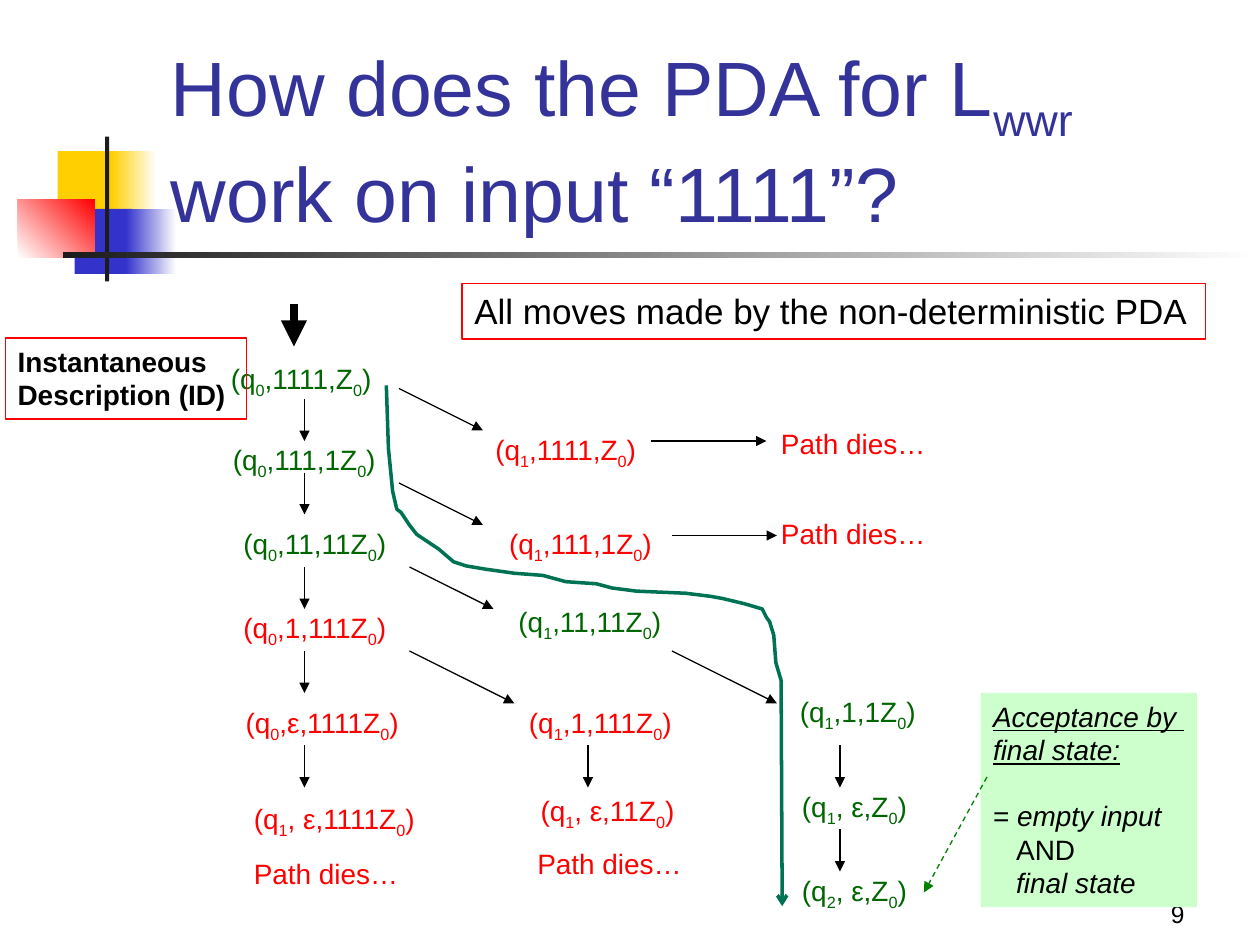
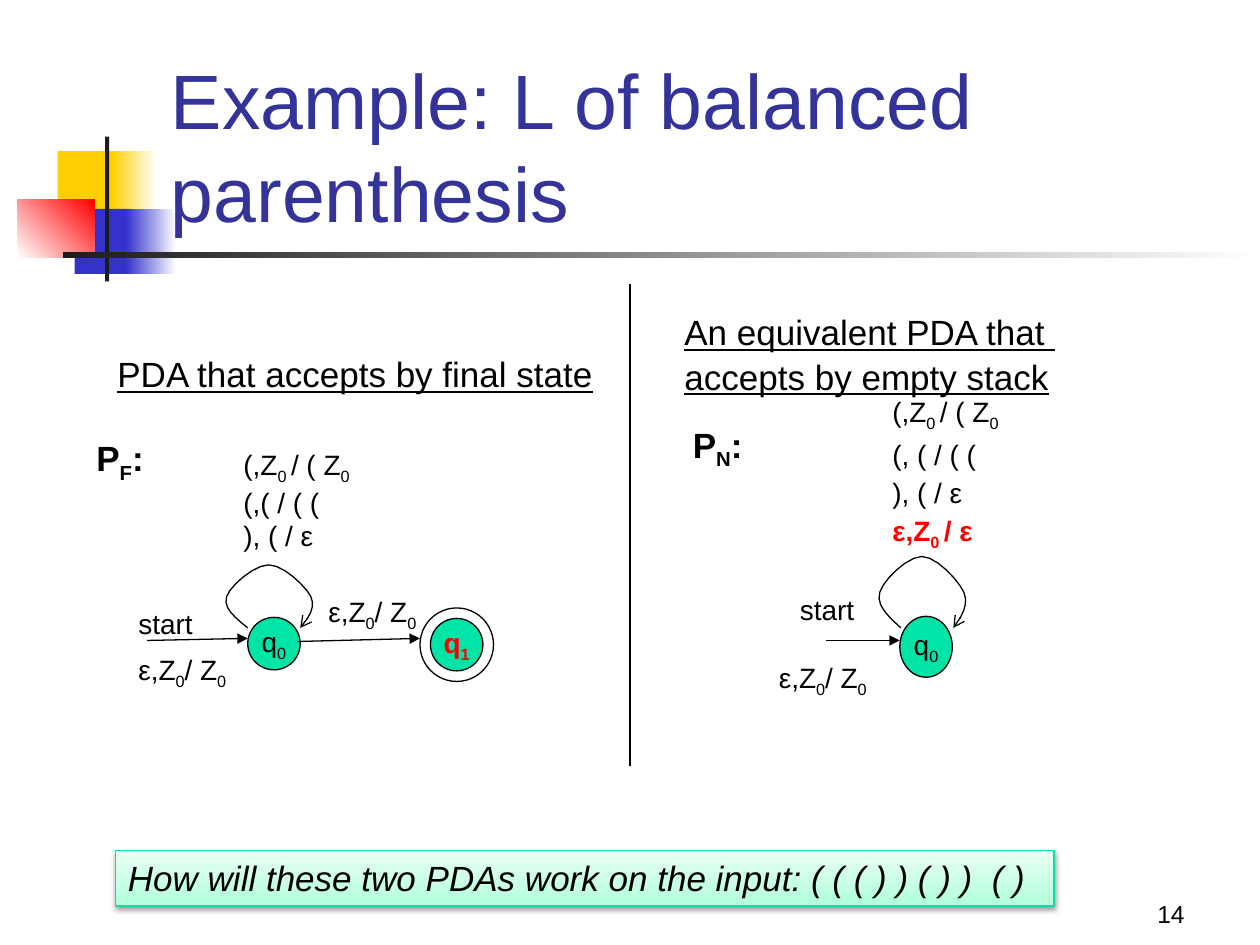
"""Build two lecture slides on pushdown automata, laid out on a 120 by 90 grid."""
from dataclasses import dataclass

from lxml.etree import SubElement
from pptx import Presentation
from pptx.dml.color import RGBColor as RGB
from pptx.enum.dml import MSO_LINE as Dash
from pptx.enum.shapes import MSO_CONNECTOR as Conn, MSO_SHAPE as Shape
from pptx.enum.text import MSO_ANCHOR as Anchor, PP_ALIGN as Align
from pptx.oxml.ns import qn
from pptx.util import Inches, Pt


@dataclass(frozen=True)
class Theme:
    font: str = "Arial"
    title_size: int = 44
    lead_size: int = 20
    body_size: int = 16
    number_size: int = 14
    title: str = "333399"
    black: str = "000000"
    white: str = "FFFFFF"
    ink: str = "1C1C1C"
    yellow: str = "FFCF01"
    blue: str = "3333CC"
    red: str = "FF0000"
    alive: str = "006600"
    trace: str = "007254"
    pointer: str = "008000"
    note: str = "CCFFCC"
    state: str = "00E4A8"
    band_low: str = "B0FFDA"
    band_high: str = "EAFFF4"
    band_edge: str = "00DFA4"


T = Theme()
prs = Presentation()
prs.slide_width, prs.slide_height = Inches(10), Inches(7.5)
U = prs.slide_width // 120


def ink(sp, color=T.black, width=0.75, head=None, dash=None):
    sp.line.color.rgb = RGB.from_string(color)
    sp.line.width = Pt(width)
    if dash:
        sp.line.dash_style = dash
    if head:
        SubElement(sp.line._get_or_add_ln(), qn("a:tailEnd"), type=head)


def box(s, at, paras=(), kind=None, fill=None, edge=None, color=T.black, wrap=True,
        anchor=Anchor.TOP, align=Align.LEFT, gap=0, **fmt):
    at = [int(v * U) for v in at]
    if kind is None:
        sp = s.shapes.add_textbox(*at)
    else:
        sp = s.shapes.add_shape(kind, *at)
        sp.shadow.inherit = False
    if isinstance(fill, tuple):
        sp.fill.gradient()
        sp.fill.gradient_angle = fill[2]
        for stop, tone in zip(sp.fill.gradient_stops, fill):
            stop.color.rgb = RGB.from_string(tone)
    elif fill:
        sp.fill.solid()
        sp.fill.fore_color.rgb = RGB.from_string(fill)
    else:
        sp.fill.background()
    if edge:
        ink(sp, edge)
    else:
        sp.line.fill.background()
    tf = sp.text_frame
    tf.word_wrap, tf.vertical_anchor = wrap, anchor
    for i, para in enumerate(paras):
        p = tf.add_paragraph() if i else tf.paragraphs[0]
        p.alignment, p.space_after = align, Pt(gap)
        for text, extra in ([(para, {})] if isinstance(para, str) else para):
            look = {"name": T.font, "size": T.body_size, "color": color, **fmt, **extra}
            tone, look["size"] = look.pop("color"), Pt(look["size"])
            for n, piece in enumerate(text.split("_")):
                if piece:
                    r = p.add_run()
                    r.text = piece
                    r.font.color.rgb = RGB.from_string(tone)
                    for key, value in look.items():
                        setattr(r.font, key, value)
                    if n % 2:
                        r._r.get_or_add_rPr().set("baseline", "-25000")
    return sp


decor = [
    ((5.5, 14.4, 5.8, 6.2), T.yellow),
    ((10.6, 14.4, 4.3, 6.2), (T.yellow, T.white, 0)),
    ((7.1, 19.9, 5.5, 6.2), T.blue),
    ((12, 19.9, 4.8, 6.2), (T.blue, T.white, 0)),
    ((1.7, 19, 7.3, 5.5), (T.white, T.red, 45)),
    ((10, 13, 0.4, 13.8), T.ink),
    ((6, 24, 114, 0.6), (T.ink, T.white, 0)),
]
slides = []
for title, number in [("How does the PDA for L_wwr_ work on input “1111”?", "9"),
                      ("Example: L of balanced parenthesis", "14")]:
    s = prs.slides.add_slide(prs.slide_layouts[6])
    for at, fill in decor:
        box(s, at, kind=Shape.RECTANGLE, fill=fill)
    box(s, (15.1, 8.2, 102.2, 15), [title], size=T.title_size, color=T.title, anchor=Anchor.BOTTOM)
    box(s, (89, 83, 25, 6), [number], size=T.number_size, anchor=Anchor.BOTTOM, align=Align.RIGHT)
    slides.append(s)
moves, example = slides

descriptions = {
    T.alive: [
        (20.8, 33.8, 16.8, "(q_0_,1111,Z_0_)"),
        (21, 41.6, 16.8, "(q_0_,111,1Z_0_)"),
        (22, 49.6, 16.8, "(q_0_,11,11Z_0_)"),
        (48.2, 57, 17.8, "(q_1_,11,11Z_0_)"),
        (75, 65.6, 18, "(q_1_,1,1Z_0_)"),
        (75.2, 74.6, 13.8, "(q_1_, ε,Z_0_)"),
        (75.2, 82.6, 13.8, "(q_2_, ε,Z_0_)"),
    ],
    T.red: [
        (22, 57.6, 16.8, "(q_0_,1,111Z_0_)"),
        (22.2, 66.6, 19.8, "(q_0_,ε,1111Z_0_)"),
        (23, 75.7, 18.7, "(q_1_, ε,1111Z_0_)"),
        (50.3, 75, 16.8, "(q_1_, ε,11Z_0_)"),
        (49.2, 66.6, 18.7, "(q_1_,1,111Z_0_)"),
        (47.3, 49.6, 16.8, "(q_1_,111,1Z_0_)"),
        (46, 40.6, 16.8, "(q_1_,1111,Z_0_)"),
        (73.2, 40, 16.3, "Path dies…"),
        (73.2, 48.6, 17.8, "Path dies…"),
        (50, 80, 17.8, "Path dies…"),
        (23, 81, 17.8, "Path dies…"),
    ],
}
for color, items in descriptions.items():
    for x, y, w, text in items:
        box(moves, (x, y, w, 4.4), [text], color=color)

accept = box(moves, (93.4, 66, 20.6, 20.4),
             [[("Acceptance by ", {"underline": True})], [("final state:", {"underline": True})],
              [("= ", {"italic": False}), ("empty input", {})],
              [("AND", {"italic": False})], "final state"],
             kind=Shape.RECTANGLE, fill=T.note, italic=True)
accept.text_frame.paragraphs[2].space_before = Pt(18.4)
for p in accept.text_frame.paragraphs[3:]:
    p._p.get_or_add_pPr().set("marL", str(int(2.2 * U)))
box(moves, (44, 27, 70.8, 5.3), ["All moves made by the non-deterministic PDA"],
    kind=Shape.RECTANGLE, edge=T.red, size=T.lead_size)
box(moves, (0.5, 32.2, 23, 7.7), ["Instantaneous Description (ID)"],
    kind=Shape.RECTANGLE, edge=T.red, bold=True)

for x, y, w, h, text in [(12, 57.2, 7.7, 4.4, "start"), (75, 55.8, 7.7, 5.2, "start"),
                         (30.1, 56, 11.9, 4.4, "ε,Z_0_/ Z_0_"), (12, 61.6, 11.9, 4.4, "ε,Z_0_/ Z_0_"),
                         (73, 62.3, 11.9, 5.2, "ε,Z_0_/ Z_0_")]:
    box(example, (x, y, w, h), [text])
for at, paras, fmt in [
    ((10, 33, 48, 5.3), ["PDA that accepts by final state"], {"underline": True}),
    ((64, 29, 37.9, 10.7), ["An equivalent PDA that ", "accepts by empty stack"],
     {"underline": True, "gap": 1.5}),
    ((8, 41, 7.2, 5.3), ["P_F_:"], {"bold": True}),
    ((64.8, 39.7, 7.4, 5.3), ["P_N_:"], {"bold": True}),
]:
    box(example, at, paras, size=T.lead_size, **fmt)
box(example, (22, 42, 13.1, 10.9), ["(,Z_0 _/ ( Z_0_", "(,( / ( (", "), ( / ε"])
box(example, (83.8, 37, 13.1, 16.2),
    ["(,Z_0 _/ ( Z_0_", "(, ( / ( (", "), ( / ε", [("ε,Z_0 _/ ε", {"color": T.red, "bold": True})]],
    gap=2.5)
box(example, (40, 57.9, 7, 7), kind=Shape.OVAL, edge=T.black)
for at, name, color, bold in [((23.6, 58.8, 5, 5), "q_0_", T.black, False),
                              ((41, 58.9, 5, 5), "q_1_", T.red, True),
                              ((85.7, 58.7, 5, 5.8), "q_0_", T.black, False)]:
    box(example, at, [name], kind=Shape.OVAL, fill=T.state, edge=T.black, color=color, bold=bold,
        wrap=False, anchor=Anchor.MIDDLE, align=Align.CENTER)
band = box(example, (11, 81, 89.4, 5.3),
           ["How will these two PDAs work on the input: ( ( ( ) ) ( ) )  ( )"],
           kind=Shape.RECTANGLE, fill=(T.band_low, T.band_high, 90), edge=T.band_edge,
           size=T.lead_size, italic=True)
shadow = SubElement(band._element.spPr.find(qn("a:effectLst")), qn("a:outerShdw"),
                    blurRad=str(Pt(3.1)), dist=str(Pt(1.6)), dir="5400000", rotWithShape="0")
SubElement(SubElement(shadow, qn("a:srgbClr"), val=T.black), qn("a:alpha"), val="38000")

arrow = {"head": "triangle"}
downs = [(29, 38), (29, 45), (29, 54), (29, 62), (29, 71), (56, 71), (80, 71), (80, 79)]
links = [(moves, (x, y, x, y + 4), arrow) for x, y in downs]
links += [(moves, ends, arrow) for ends in [
    (38, 37, 46, 41), (38, 46, 46, 50), (39, 54, 47, 58), (39, 62, 49, 67),
    (64, 62, 74, 67), (62, 42, 73, 42), (64, 51, 74, 51)]]
links += [
    (moves, (94, 74, 88, 85), {"color": T.pointer, "dash": Dash.DASH, **arrow}),
    (moves, (28, 29, 28, 33), {"width": 5, **arrow}),
    (example, (14, 61, 23.6, 60.8), arrow),
    (example, (28.3, 61.1, 40, 60.8), arrow),
    (example, (78.7, 61, 85.7, 61), arrow),
    (example, (60, 27, 60, 73), {}),
]
for s, ends, fmt in links:
    link = s.shapes.add_connector(Conn.STRAIGHT, *[int(v * U) for v in ends])
    ink(link, **fmt)
    SubElement(link._element.spPr, qn("a:effectLst"))

accepting_run = [
    (36.8, 36.7), (37, 42.7), (37.1, 43.7), (37.4, 46.8), (37.8, 48.5), (38.2, 48.8), (39, 50),
    (39.7, 50.9), (40.6, 51.5), (41.8, 52.3), (43.2, 53.5), (44.4, 53.9), (46.2, 54.2), (49, 54.6),
    (51.7, 54.8), (53.9, 55.4), (56.8, 55.6), (58.3, 56), (60.6, 56.3), (65.3, 56.5), (67.7, 56.8),
    (68.8, 57), (70.9, 57.5), (72.6, 58), (73, 58.8), (73.3, 59.2), (73.7, 60.5), (73.9, 63.1),
    (74.4, 64.8), (74.5, 86.3)]
curves = [(moves, accepting_run, {"color": T.trace, "width": 2})]
knots = [(2.4, 0), (1.2, 0.16), (0, 0.32), (0.4, 0.5), (0.7, 0.66), (3, 1), (4.4, 1),
         (5.8, 1), (7.9, 0.66), (8.4, 0.5), (8.9, 0.32), (8.2, 0.16), (7.4, 0)]
steps = 6
for left, height in [(21.2, 6), (83.4, 6.8)]:
    pts = [(left + knots[0][0], 59.8)]
    for k in range(0, 12, 3):
        for t in [n / steps for n in range(1, steps + 1)]:
            weights = ((1 - t) ** 3, 3 * t * (1 - t) ** 2, 3 * t * t * (1 - t), t ** 3)
            x, y = [sum(w * c for w, c in zip(weights, axis)) for axis in zip(*knots[k:k + 4])]
            pts.append((left + x, 59.8 - height * y))
    curves.append((example, pts, {}))
for s, pts, fmt in curves:
    pts = [(x * U, y * U) for x, y in pts]
    builder = s.shapes.build_freeform(*pts[0])
    builder.add_line_segments(pts[1:], close=False)
    curve = builder.convert_to_shape()
    curve.fill.background()
    curve.shadow.inherit = False
    ink(curve, head="arrow", **fmt)

prs.save("out.pptx")
